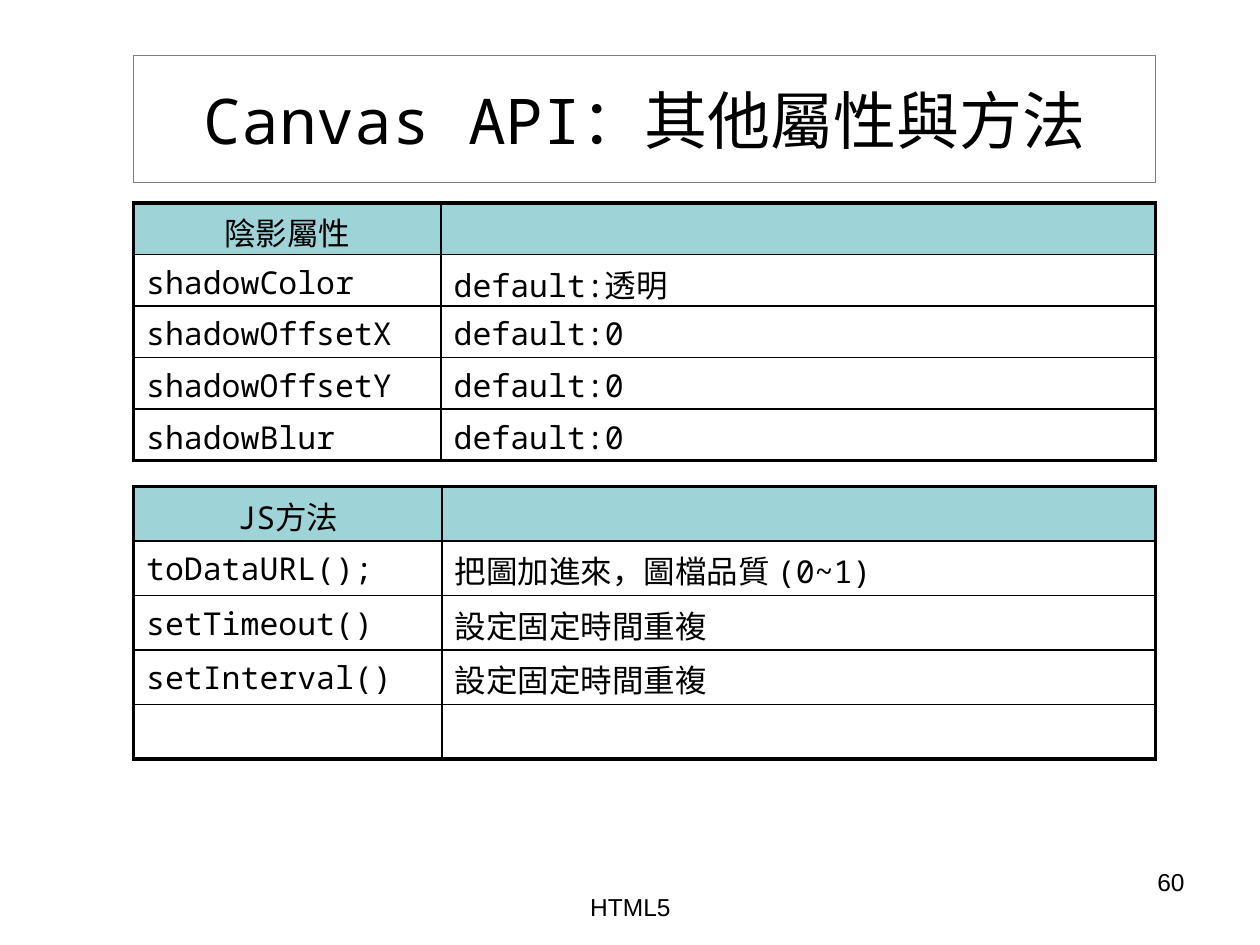
from dataclasses import dataclass
from typing import Optional

from lxml.etree import SubElement
from pptx import Presentation
from pptx.dml.color import RGBColor
from pptx.enum.text import MSO_ANCHOR, PP_ALIGN
from pptx.oxml.ns import qn
from pptx.slide import Slide
from pptx.table import _Cell
from pptx.text.text import TextFrame
from pptx.util import Pt

BLACK = RGBColor(0x00, 0x00, 0x00)
GRAY = RGBColor(0x7F, 0x7F, 0x7F)
HEADER_TEAL = RGBColor(0x9E, 0xD3, 0xD7)
MONO = "Noto Sans Mono"
SANS = "Arial"
THIN, THICK = 1, 2.25
TABLE_LEFT = 76.3


@dataclass(frozen=True)
class Label:
    text: str
    left: float
    top: float
    width: float
    height: float
    size: float
    font: str
    alignment: PP_ALIGN
    anchor: MSO_ANCHOR = MSO_ANCHOR.TOP
    outline: Optional[RGBColor] = None


@dataclass(frozen=True)
class ReferenceTable:
    top: float
    column_widths: tuple[float, float]
    row_height: float
    rows: tuple[tuple[str, str], ...]


LABELS = (
    Label("Canvas API：其他屬性與方法", 76.3, 31.7, 583.9, 72.7, 36, MONO,
          PP_ALIGN.CENTER, MSO_ANCHOR.MIDDLE, GRAY),
    Label("60", 516.2, 491.8, 167.8, 37.4, 14, SANS, PP_ALIGN.RIGHT),
    Label("HTML5", 246.2, 506.2, 228.2, 36, 14, SANS, PP_ALIGN.CENTER),
)

TABLES = (
    ReferenceTable(115.9, (175.7, 408.2), 29.5, (
        ("陰影屬性", ""),
        ("shadowColor", "default:透明"),
        ("shadowOffsetX", "default:0"),
        ("shadowOffsetY", "default:0"),
        ("shadowBlur", "default:0"),
    )),
    ReferenceTable(277.9, (176.4, 407.5), 31.2, (
        ("JS方法", ""),
        ("toDataURL();", "把圖加進來，圖檔品質 (0~1)"),
        ("setTimeout()", "設定固定時間重複"),
        ("setInterval()", "設定固定時間重複"),
        ("", ""),
    )),
)


def write_text(text_frame: TextFrame, text: str, size: float, font: str,
               alignment: PP_ALIGN) -> None:
    """Fill a text frame with one formatted paragraph."""
    text_frame.text = text
    paragraph = text_frame.paragraphs[0]
    paragraph.alignment = alignment
    for run in paragraph.runs:
        run.font.size = Pt(size)
        run.font.name = font
        run.font.color.rgb = BLACK


def draw_label(slide: Slide, label: Label) -> None:
    """Draw a wrapped text box, outlined when a colour is given."""
    shape = slide.shapes.add_textbox(Pt(label.left), Pt(label.top),
                                     Pt(label.width), Pt(label.height))
    shape.text_frame.word_wrap = True
    shape.text_frame.vertical_anchor = label.anchor
    if label.outline is not None:
        shape.line.color.rgb = label.outline
        shape.line.width = Pt(0.75)
    write_text(shape.text_frame, label.text, label.size, label.font, label.alignment)


def set_borders(cell: _Cell, widths: dict[str, float]) -> None:
    """Give a cell solid black borders of the given widths."""
    properties = cell._tc.get_or_add_tcPr()
    for side, width in widths.items():
        line = SubElement(properties, qn(f"a:ln{side}"), w=str(int(Pt(width))))
        fill = SubElement(line, qn("a:solidFill"))
        SubElement(fill, qn("a:srgbClr"), val=str(BLACK))


def draw_table(slide: Slide, reference: ReferenceTable) -> None:
    """Draw a two-column table with a teal header and a thick frame."""
    row_count, column_count = len(reference.rows), len(reference.column_widths)
    table = slide.shapes.add_table(
        row_count, column_count, Pt(TABLE_LEFT), Pt(reference.top),
        Pt(sum(reference.column_widths)), Pt(reference.row_height * row_count)).table
    table.first_row = False
    table.horz_banding = False
    for column, width in zip(table.columns, reference.column_widths):
        column.width = Pt(width)
    for row_index, texts in enumerate(reference.rows):
        table.rows[row_index].height = Pt(reference.row_height)
        is_header = row_index == 0
        for column_index, text in enumerate(texts):
            cell = table.cell(row_index, column_index)
            set_borders(cell, {
                "L": THICK if column_index == 0 else THIN,
                "R": THICK if column_index == column_count - 1 else THIN,
                "T": THICK if is_header else THIN,
                "B": THICK if row_index == row_count - 1 else THIN,
            })
            if is_header:
                cell.fill.solid()
                cell.fill.fore_color.rgb = HEADER_TEAL
            else:
                cell.fill.background()
            write_text(cell.text_frame, text, 18, MONO,
                       PP_ALIGN.CENTER if is_header else PP_ALIGN.LEFT)


def main() -> None:
    """Build the slide and save it."""
    presentation = Presentation()
    presentation.slide_width, presentation.slide_height = Pt(720), Pt(540)
    slide = presentation.slides.add_slide(presentation.slide_layouts[6])
    title, *footers = LABELS
    draw_label(slide, title)
    for reference in TABLES:
        draw_table(slide, reference)
    for footer in footers:
        draw_label(slide, footer)
    presentation.save("out.pptx")


if __name__ == "__main__":
    main()
